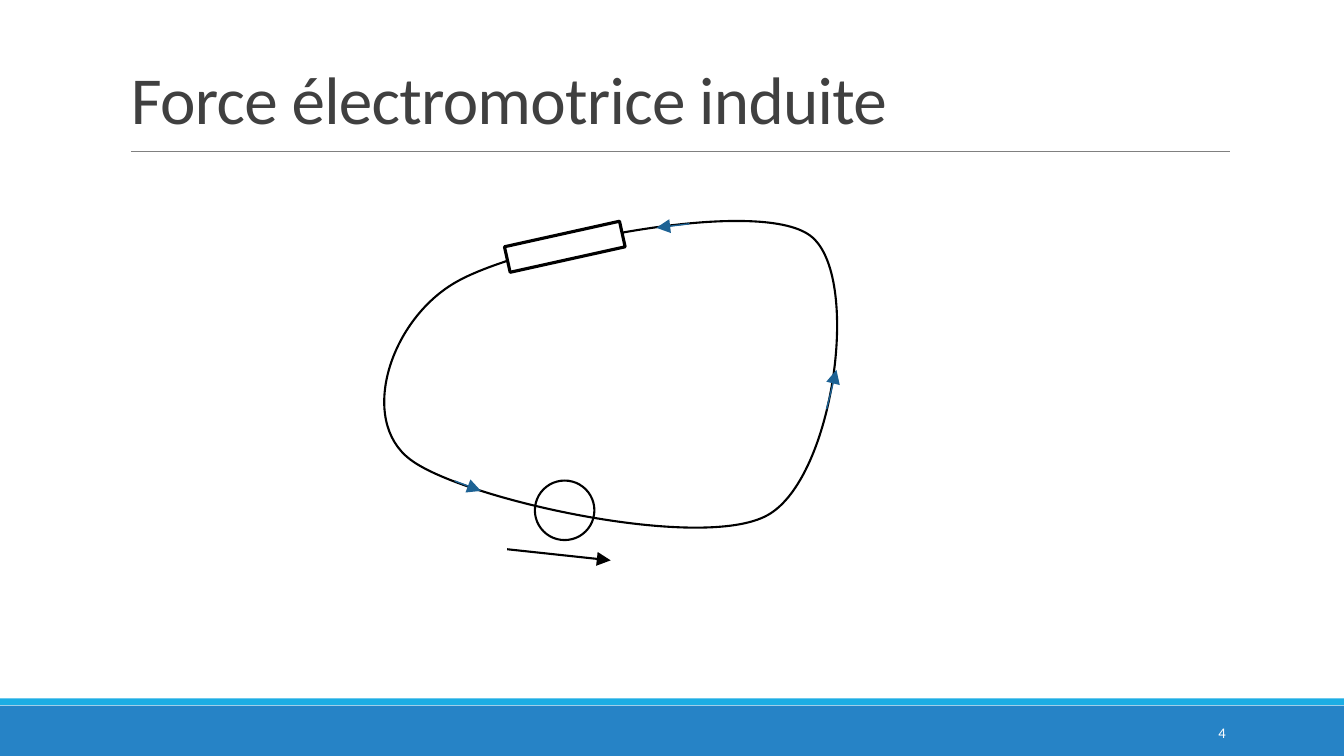
from lxml.etree import SubElement
from pptx import Presentation
from pptx.dml.color import RGBColor
from pptx.enum.shapes import MSO_CONNECTOR as LINK, MSO_SHAPE as SHAPE
from pptx.enum.text import MSO_ANCHOR as ANCHOR, PP_ALIGN as ALIGN
from pptx.oxml.ns import qn
from pptx.util import Cm, Pt


def color(hex_string):
    return RGBColor.from_string(hex_string)


def straight(start, end, hex_string, width, arrow=True):
    link = shapes.add_connector(LINK.STRAIGHT, *map(Cm, start + end))
    link.line.color.rgb = color(hex_string)
    link.line.width = Pt(width)
    if arrow:
        SubElement(link.line._get_or_add_ln(), qn("a:tailEnd"),
                   type="triangle", w="lg", len="lg")
    SubElement(link._element.spPr, qn("a:effectLst"))


prs = Presentation()
prs.slide_width, prs.slide_height = Cm(33.87), Cm(19.05)
slide = prs.slides.add_slide(prs.slide_layouts[6])
shapes = slide.shapes

# Footer bands and title rule
for top, height, fill in [(17.78, 1.27, "2683C6"), (17.6, 0.17, "1CADE4")]:
    band = shapes.add_shape(SHAPE.RECTANGLE, 0, Cm(top), prs.slide_width, Cm(height))
    band.shadow.inherit = False
    band.fill.solid()
    band.fill.fore_color.rgb = color(fill)
    band.line.fill.background()
straight((3.3, 3.81), (30.99, 3.81), "808080", 0.5, arrow=False)

# Title and slide number
for text, box, size, ink, anchor, align, spacing, tracking in [
    ("Force électromotrice induite", (3.05, 0.79, 27.94, 2.82), 48, "404040",
     ANCHOR.BOTTOM, ALIGN.LEFT, 0.85, -50),
    ("4", (27.51, 17.95, 3.63, 1.02), 10.5, "FFFFFF",
     ANCHOR.MIDDLE, ALIGN.RIGHT, 1.0, 0),
]:
    frame = shapes.add_textbox(*map(Cm, box)).text_frame
    frame.word_wrap = True
    frame.vertical_anchor = anchor
    paragraph = frame.paragraphs[0]
    paragraph.alignment = align
    paragraph.line_spacing = spacing
    run = paragraph.add_run()
    run.text = text
    run.font.name = "Calibri"
    run.font.size = Pt(size)
    run.font.color.rgb = color(ink)
    run.font._element.set("spc", str(tracking))

# Circuit loop: a frame of the right size, then its outline as four Bézier curves
left, top, right, bottom = 9.68, 5.56, 21.08, 13.28
builder = shapes.build_freeform(Cm(left), Cm(top))
builder.add_line_segments([(Cm(right), Cm(top)), (Cm(right), Cm(bottom)),
                           (Cm(left), Cm(bottom))])
loop = builder.convert_to_shape()
outline = next(loop._element.iter(qn("a:path")))
for segment in list(outline):
    outline.remove(segment)
loop_start = (11.53, 7.09)
for command, points in [
    ("a:moveTo", [loop_start]),
    ("a:cubicBezTo", [(13.21, 6.15), (19.1, 4.95), (20.42, 5.94)]),
    ("a:cubicBezTo", [(21.72, 6.91), (21.03, 12.04), (19.35, 12.98)]),
    ("a:cubicBezTo", [(17.68, 13.92), (11.63, 12.57), (10.34, 11.58)]),
    ("a:cubicBezTo", [(9.02, 10.59), (9.83, 8.03), loop_start]),
    ("a:close", []),
]:
    segment = SubElement(outline, qn(command))
    for x, y in points:
        SubElement(segment, qn("a:pt"), x=str(Cm(x - left)), y=str(Cm(y - top)))

# Generator and resistor
generator = shapes.add_shape(SHAPE.OVAL, Cm(13.48), Cm(12.11), Cm(1.5), Cm(1.5))
resistor = shapes.add_shape(SHAPE.RECTANGLE, Cm(12.75), Cm(5.89), Cm(2.97), Cm(0.66))
resistor.rotation = 347.5
for part, width in [(loop, 1.5), (generator, 1.5), (resistor, 2.25)]:
    part.shadow.inherit = False
    part.fill.background()
    part.line.color.rgb = color("000000")
    part.line.width = Pt(width)
resistor.fill.solid()
resistor.fill.fore_color.rgb = color("FFFFFF")

# Electromotive force arrow, then current arrows
straight((12.78, 13.84), (15.39, 14.12), "000000", 1.5)
for start, end in [
    ((20.83, 10.31), (21.08, 9.32)),
    ((11.46, 12.12), (12.12, 12.37)),
    ((17.37, 5.64), (16.54, 5.74)),
]:
    straight(start, end, "1D6294", 1)

prs.save("out.pptx")
